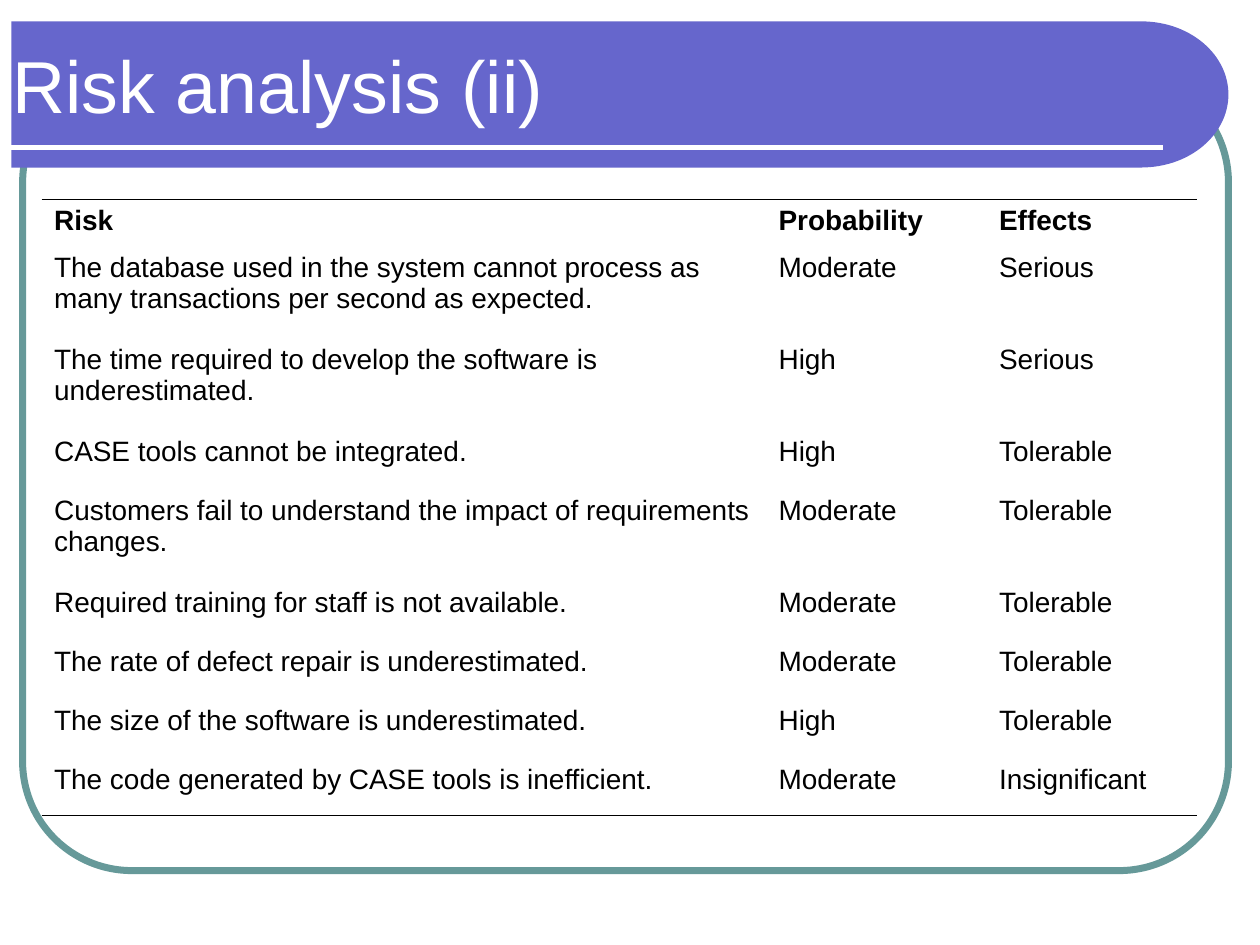
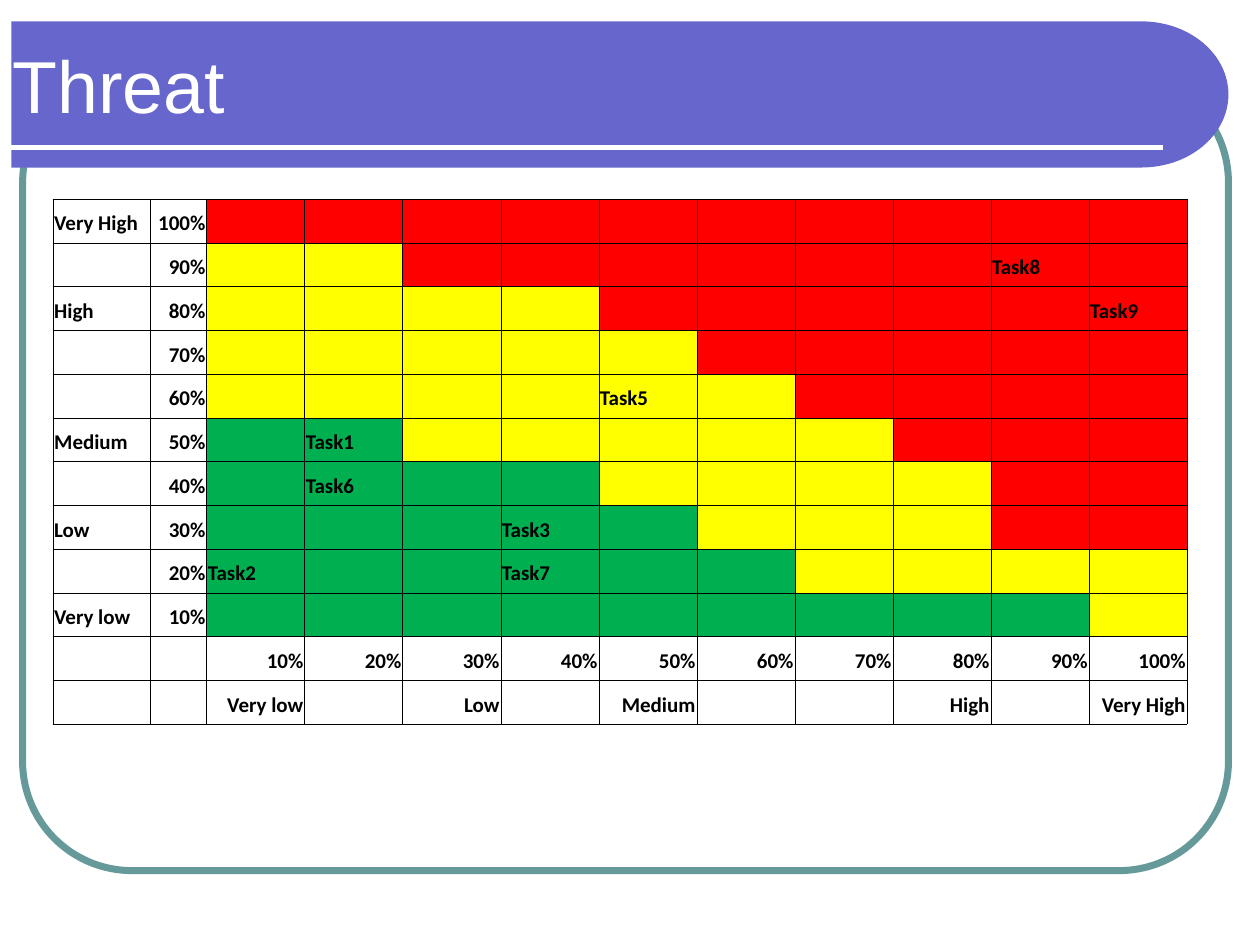
from dataclasses import dataclass
from math import cos, pi, sin

from lxml.etree import SubElement
from pptx import Presentation
from pptx.dml.color import RGBColor
from pptx.enum.shapes import MSO_CONNECTOR, MSO_SHAPE
from pptx.enum.text import MSO_ANCHOR, PP_ALIGN
from pptx.oxml.ns import qn
from pptx.slide import Slide
from pptx.table import _Cell
from pptx.util import Inches, Pt

BLACK = RGBColor(0x00, 0x00, 0x00)
WHITE = RGBColor(0xFF, 0xFF, 0xFF)
TEAL = RGBColor(0x66, 0x99, 0x99)
VIOLET = RGBColor(0x66, 0x66, 0xCC)
RED = RGBColor(0xFF, 0x00, 0x00)
YELLOW = RGBColor(0xFF, 0xFF, 0x00)
GREEN = RGBColor(0x00, 0xB0, 0x50)

TITLE_FONT = {"name": "Arial", "size": Pt(42)}
RISK_FONT = {"name": "Arial", "size": Pt(16)}
THREAT_FONT = {"name": "Calibri", "size": Pt(12), "bold": True}
RISK_CELL = {"vertical_anchor": MSO_ANCHOR.TOP}
THREAT_CELL = {
    "vertical_anchor": MSO_ANCHOR.BOTTOM,
    "margin_left": Inches(0.01),
    "margin_right": Inches(0.01),
}

RISKS = [
    ("Risk", "Probability", "Effects"),
    ("The database used in the system cannot process as many transactions per second as expected.",
     "Moderate", "Serious"),
    ("The time required to develop the software is underestimated.", "High", "Serious"),
    ("CASE tools cannot be integrated.", "High", "Tolerable"),
    ("Customers fail to understand the impact of requirements changes.", "Moderate", "Tolerable"),
    ("Required training for staff is not available.", "Moderate", "Tolerable"),
    ("The rate of defect repair is underestimated.", "Moderate", "Tolerable"),
    ("The size of the software is underestimated.", "High", "Tolerable"),
    ("The code generated by CASE tools is inefficient.", "Moderate", "Insignificant"),
]
RISK_ROWS = [0.37, 0.73, 0.73, 0.47, 0.73, 0.47, 0.47, 0.47, 0.45]

SCALE = range(10, 101, 10)
LEVELS = {100: "Very High", 80: "High", 50: "Medium", 30: "Low", 10: "Very low"}
GREEN_YELLOW_COUNTS = {
    100: (0, 0), 90: (0, 2), 80: (0, 4), 70: (0, 5), 60: (0, 6),
    50: (2, 5), 40: (4, 4), 30: (5, 3), 20: (6, 4), 10: (9, 1),
}
TASKS = {
    (90, 90): "Task8", (80, 100): "Task9", (60, 50): "Task5", (50, 20): "Task1",
    (40, 20): "Task6", (30, 40): "Task3", (20, 10): "Task2", (20, 40): "Task7",
}


@dataclass
class CellSpec:
    text: str = ""
    fill: RGBColor | None = None
    align: PP_ALIGN = PP_ALIGN.LEFT
    borders: str = "LRTB"
    bold: bool = False


@dataclass
class TableSpec:
    left: float
    top: float
    cols: list[float]
    rows: list[float]
    cells: list[list[CellSpec]]
    font: dict
    cell_format: dict
    border_width: float


def apply(target: object, values: dict) -> None:
    for name, value in values.items():
        setattr(target, name, value)


def add_title(s: Slide, text: str) -> None:
    tf = s.shapes.add_textbox(Inches(0), Inches(0.25), Inches(8.77), Inches(0.83)).text_frame
    apply(tf, {"word_wrap": True, "vertical_anchor": MSO_ANCHOR.MIDDLE})
    r = tf.paragraphs[0].add_run()
    r.text = text
    apply(r.font, TITLE_FONT)
    r.font.color.rgb = WHITE


def add_frame(s: Slide) -> None:
    frame = s.shapes.add_shape(
        MSO_SHAPE.ROUNDED_RECTANGLE, Inches(0.18), Inches(0.58), Inches(9.57), Inches(6.33))
    frame.adjustments[0] = 0.137
    frame.shadow.inherit = False
    frame.fill.background()
    frame.line.color.rgb = TEAL
    frame.line.width = Pt(4)


def add_band(s: Slide) -> None:
    steps = 60
    angles = [pi * i / steps - pi / 2 for i in range(steps + 1)]
    arc = [(Inches(9.06 + 0.69 * cos(a)), Inches(0.75 + 0.58 * sin(a))) for a in angles]
    builder = s.shapes.build_freeform(Inches(0.09), Inches(0.17))
    builder.add_line_segments([*arc, (Inches(0.09), Inches(1.33))], close=True)
    band = builder.convert_to_shape()
    band.shadow.inherit = False
    band.fill.solid()
    band.fill.fore_color.rgb = VIOLET
    band.line.fill.background()


def add_rule(s: Slide) -> None:
    rule = s.shapes.add_connector(
        MSO_CONNECTOR.STRAIGHT, Inches(0.08), Inches(1.17), Inches(9.23), Inches(1.17))
    rule.line.color.rgb = WHITE
    rule.line.width = Pt(3)
    SubElement(rule._element.spPr, qn("a:effectLst"))


def set_borders(cell: _Cell, sides: str, width: float) -> None:
    tc_pr = cell._tc.get_or_add_tcPr()
    for side in "LRTB":
        ln = SubElement(tc_pr, qn(f"a:ln{side}"), w=str(Pt(width)))
        if side in sides:
            fill = SubElement(ln, qn("a:solidFill"))
            SubElement(fill, qn("a:srgbClr"), val=str(BLACK))
        else:
            SubElement(ln, qn("a:noFill"))


def fill_cell(cell: _Cell, spec: CellSpec, table: TableSpec) -> None:
    apply(cell, table.cell_format)
    set_borders(cell, spec.borders, table.border_width)
    if spec.fill is None:
        cell.fill.background()
    else:
        cell.fill.solid()
        cell.fill.fore_color.rgb = spec.fill
    p = cell.text_frame.paragraphs[0]
    p.alignment = spec.align
    if spec.text:
        r = p.add_run()
        r.text = spec.text
        apply(r.font, {"bold": spec.bold, **table.font})
        r.font.color.rgb = BLACK
    else:
        size = table.font["size"].centipoints
        SubElement(p._p, qn("a:endParaRPr"), sz=str(size))


def add_table(s: Slide, spec: TableSpec) -> None:
    table = s.shapes.add_table(
        len(spec.rows), len(spec.cols), Inches(spec.left), Inches(spec.top),
        Inches(sum(spec.cols)), Inches(sum(spec.rows))).table
    apply(table, {"first_row": False, "horz_banding": False})
    for col, width in zip(table.columns, spec.cols):
        col.width = Inches(width)
    for row, height, cells in zip(table.rows, spec.rows, spec.cells):
        row.height = Inches(height)
        for cell, cell_spec in zip(row.cells, cells):
            fill_cell(cell, cell_spec, spec)


def risk_table() -> TableSpec:
    edges = {0: "T", len(RISKS) - 1: "B"}
    cells = [
        [CellSpec(text, borders=edges.get(i, ""), bold=i == 0) for text in row]
        for i, row in enumerate(RISKS)
    ]
    return TableSpec(0.33, 1.58, [5.75, 1.75, 1.67], RISK_ROWS, cells,
                     RISK_FONT, RISK_CELL, 0.45)


def threat_row(probability: int) -> list[CellSpec]:
    green, yellow = GREEN_YELLOW_COUNTS[probability]
    red = len(SCALE) - green - yellow
    fills = [GREEN] * green + [YELLOW] * yellow + [RED] * red
    labels = [
        CellSpec(LEVELS.get(probability, "")),
        CellSpec(f"{probability}%", align=PP_ALIGN.RIGHT),
    ]
    return labels + [
        CellSpec(TASKS.get((probability, impact), ""), fill)
        for impact, fill in zip(SCALE, fills)
    ]


def threat_table() -> TableSpec:
    cells = [threat_row(probability) for probability in reversed(SCALE)]
    for labels in ([f"{n}%" for n in SCALE], [LEVELS.get(n, "") for n in SCALE]):
        cells.append([CellSpec(text, align=PP_ALIGN.RIGHT) for text in ["", "", *labels]])
    label_cols = [0.77, 0.45]
    impact_width = (9 - sum(label_cols)) / len(SCALE)
    return TableSpec(0.42, 1.58, label_cols + [impact_width] * len(SCALE),
                     [4.17 / len(cells)] * len(cells), cells,
                     THREAT_FONT, THREAT_CELL, 0.23)


def add_slide(prs: Presentation, title: str, table: TableSpec) -> None:
    s = prs.slides.add_slide(prs.slide_layouts[6])
    add_frame(s)
    add_band(s)
    add_rule(s)
    add_title(s, title)
    add_table(s, table)


def main() -> None:
    prs = Presentation()
    apply(prs, {"slide_width": Inches(10), "slide_height": Inches(7.5)})
    add_slide(prs, "Risk analysis (ii)", risk_table())
    add_slide(prs, "Threat", threat_table())
    prs.save("out.pptx")


if __name__ == "__main__":
    main()
